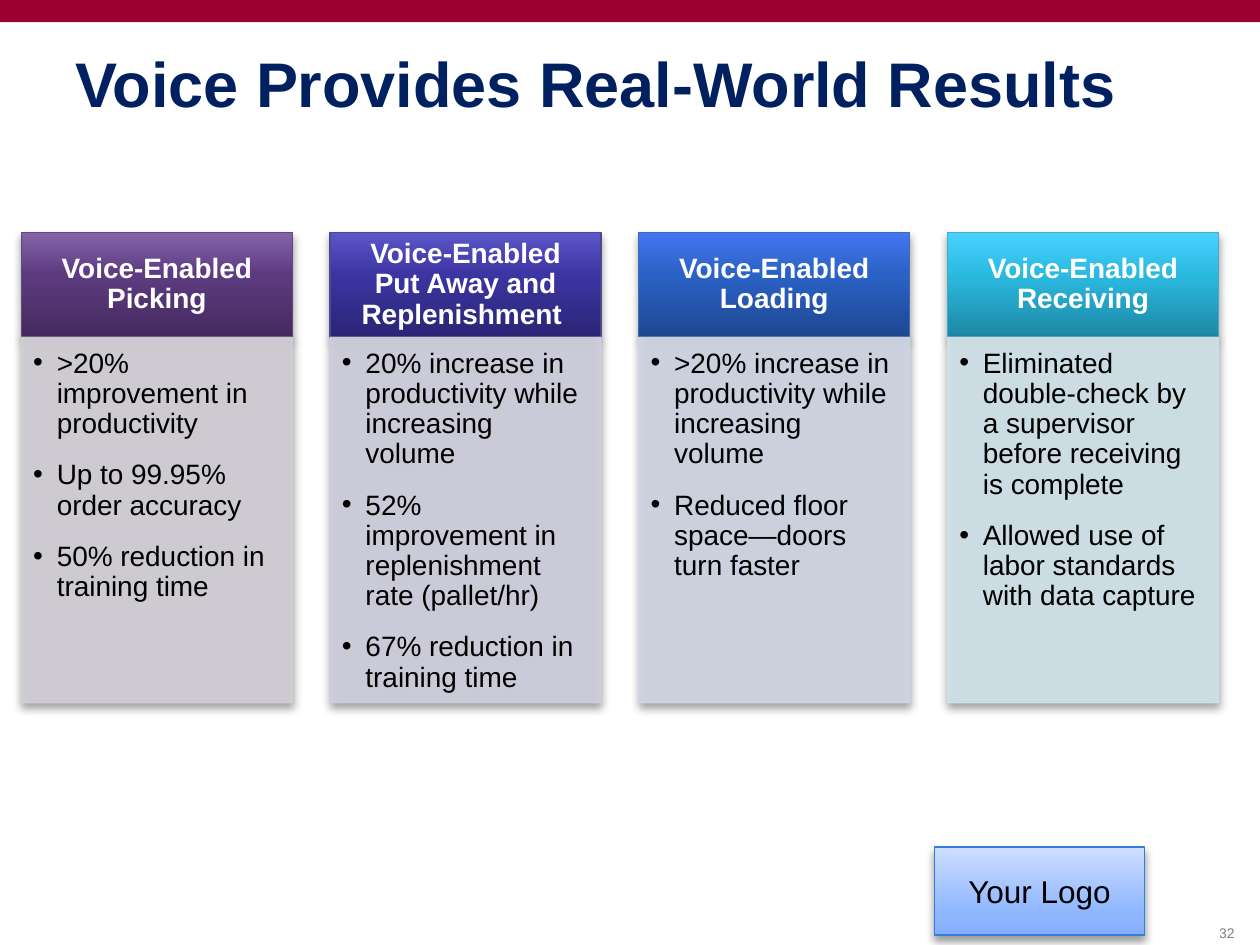
from copy import deepcopy

from lxml import etree
from pptx import Presentation
from pptx.dml.color import RGBColor
from pptx.enum.shapes import MSO_SHAPE
from pptx.enum.text import MSO_ANCHOR, PP_ALIGN
from pptx.oxml.ns import qn
from pptx.util import Pt

RECTANGLE = MSO_SHAPE.RECTANGLE
TOP, MIDDLE = MSO_ANCHOR.TOP, MSO_ANCHOR.MIDDLE
LEFT, CENTER = PP_ALIGN.LEFT, PP_ALIGN.CENTER

FONT = "Arial"
COLORS = {
    "banner": "9C0030",
    "title": "002060",
    "text": "000000",
    "header_text": "FFFFFF",
    "page_number": "808080",
    "logo_line": "337ED9",
    "shadow": "000000",
}
LOGO_STOPS = [(0, "84AFFD"), (0.25, "8EB6FF"), (1, "CEDEFF")]
HEADER_POSITIONS = (0, 0.6, 1)

COLUMN_LEFT, COLUMN_PITCH, COLUMN_WIDTH = 12.24, 176.4, 154.8
HEADER_TOP, HEADER_HEIGHT, BODY_HEIGHT = 132.75, 60, 208.8
HEADER_INSETS = (8.64, 5, 8.64, 5)
BODY_INSETS = (6.72, 6.72, 8.64, 10)
BULLET_INDENT = 13.5

COLUMNS = [
    {
        "heading": "Voice-Enabled Picking",
        "gradient": ("442A5E", "5E3B81", "8364A8"),
        "line": "604878",
        "body": "D2CFD6",
        "points": [
            ">20% improvement in productivity",
            "Up to 99.95% order accuracy",
            "50% reduction in training time",
        ],
    },
    {
        "heading": "Voice-Enabled Put Away and Replenishment ",
        "gradient": ("2A2576", "3C35A2", "5C56C9"),
        "line": "4E4893",
        "body": "CFCFDE",
        "points": [
            "20% increase in productivity while increasing volume",
            "52% improvement in replenishment rate (pallet/hr)",
            "67% reduction in training time",
        ],
    },
    {
        "heading": "Voice-Enabled Loading",
        "gradient": ("1D4791", "2B62C6", "4476F1"),
        "line": "466CB0",
        "body": "CFD6E4",
        "points": [
            ">20% increase in productivity while increasing volume",
            "Reduced floor space—doors turn faster",
        ],
    },
    {
        "heading": "Voice-Enabled Receiving",
        "gradient": ("1D87A4", "2BBAE0", "49D2FF"),
        "line": "4BACC6",
        "body": "D0E3EA",
        "points": [
            "Eliminated double-check by a supervisor before receiving is complete",
            "Allowed use of labor standards with data capture",
        ],
    },
]


def rgb(color):
    return RGBColor.from_string(color)


def add_bullet(paragraph):
    properties = paragraph._p.get_or_add_pPr()
    properties.set("marL", str(Pt(BULLET_INDENT)))
    properties.set("indent", str(-Pt(BULLET_INDENT)))
    etree.SubElement(properties, qn("a:buFont"), typeface=FONT)
    etree.SubElement(properties, qn("a:buChar"), char="•")


def write_text(shape, lines, size=16, color=COLORS["text"], bold=False, align=LEFT,
               anchor=TOP, insets=(7.2, 3.6, 7.2, 3.6), spacing=1.0, after=0, bullets=False):
    frame = shape.text_frame
    frame.word_wrap = True
    frame.vertical_anchor = anchor
    (frame.margin_left, frame.margin_top,
     frame.margin_right, frame.margin_bottom) = map(Pt, insets)
    for index, line in enumerate(lines):
        paragraph = frame.add_paragraph() if index else frame.paragraphs[0]
        if bullets:
            add_bullet(paragraph)
        paragraph.alignment = align
        paragraph.line_spacing = spacing
        paragraph.space_after = Pt(after)
        run = paragraph.add_run()
        run.text = line
        run.font.name = FONT
        run.font.size = Pt(size)
        run.font.bold = bold
        run.font.color.rgb = rgb(color)


def add_text_box(slide, box, text, **text_format):
    write_text(slide.shapes.add_textbox(*map(Pt, box)), [text], **text_format)


def add_rectangle(slide, box, fill=None, line=None):
    shape = slide.shapes.add_shape(RECTANGLE, *map(Pt, box))
    shape.shadow.inherit = False
    if fill:
        shape.fill.solid()
        shape.fill.fore_color.rgb = rgb(fill)
    if line:
        shape.line.color.rgb = rgb(line)
        shape.line.width = Pt(0.75)
    else:
        shape.line.fill.background()
    return shape


def set_gradient(shape, stops):
    shape.fill.gradient()
    shape.fill.gradient_angle = 90
    stop_list = shape._element.spPr.find(".//" + qn("a:gsLst"))
    stop_list.append(deepcopy(stop_list[0]))
    for stop, (position, color) in zip(shape.fill.gradient_stops, stops):
        stop.position = position
        stop.color.rgb = rgb(color)


def set_opacity(shape, percent):
    for color in shape._element.spPr.iter(qn("a:srgbClr")):
        etree.SubElement(color, qn("a:alpha"), val=str(percent * 1000))


def add_shadow(shape):
    effects = shape._element.spPr.find(qn("a:effectLst"))
    shadow = etree.SubElement(effects, qn("a:outerShdw"), blurRad=str(Pt(5.2)),
                              dist=str(Pt(3)), dir="5400000", rotWithShape="0")
    color = etree.SubElement(shadow, qn("a:srgbClr"), val=COLORS["shadow"])
    etree.SubElement(color, qn("a:alpha"), val="40000")


def add_gradient_box(slide, box, stops, line, text, **text_format):
    shape = add_rectangle(slide, box, line=line)
    set_gradient(shape, stops)
    add_shadow(shape)
    write_text(shape, [text], align=CENTER, anchor=MIDDLE, **text_format)


def add_column(slide, left, column):
    add_gradient_box(slide, (left, HEADER_TOP, COLUMN_WIDTH, HEADER_HEIGHT),
                     zip(HEADER_POSITIONS, column["gradient"]), column["line"],
                     column["heading"], color=COLORS["header_text"], bold=True,
                     insets=HEADER_INSETS, spacing=0.9)
    body = add_rectangle(slide, (left, HEADER_TOP + HEADER_HEIGHT, COLUMN_WIDTH, BODY_HEIGHT),
                         fill=column["body"], line=column["body"])
    set_opacity(body, 90)
    add_shadow(body)
    write_text(body, column["points"], insets=BODY_INSETS, spacing=0.9, after=12, bullets=True)


def main():
    presentation = Presentation()
    presentation.slide_width, presentation.slide_height = Pt(720), Pt(540)
    slide = presentation.slides.add_slide(presentation.slide_layouts[6])
    add_rectangle(slide, (0, 0, 720, 12.75), fill=COLORS["banner"])
    add_gradient_box(slide, (534, 484, 120, 50.4), LOGO_STOPS, COLORS["logo_line"],
                     "Your Logo", size=18)
    add_text_box(slide, (36, 21.6, 648, 90), "Voice Provides Real-World Results",
                 size=36, color=COLORS["title"], bold=True)
    for index, column in enumerate(COLUMNS):
        add_column(slide, COLUMN_LEFT + index * COLUMN_PITCH, column)
    add_text_box(slide, (686, 519, 30.24, 28.8), "32", size=8,
                 color=COLORS["page_number"], align=CENTER, anchor=MIDDLE)
    presentation.save("out.pptx")


if __name__ == "__main__":
    main()
